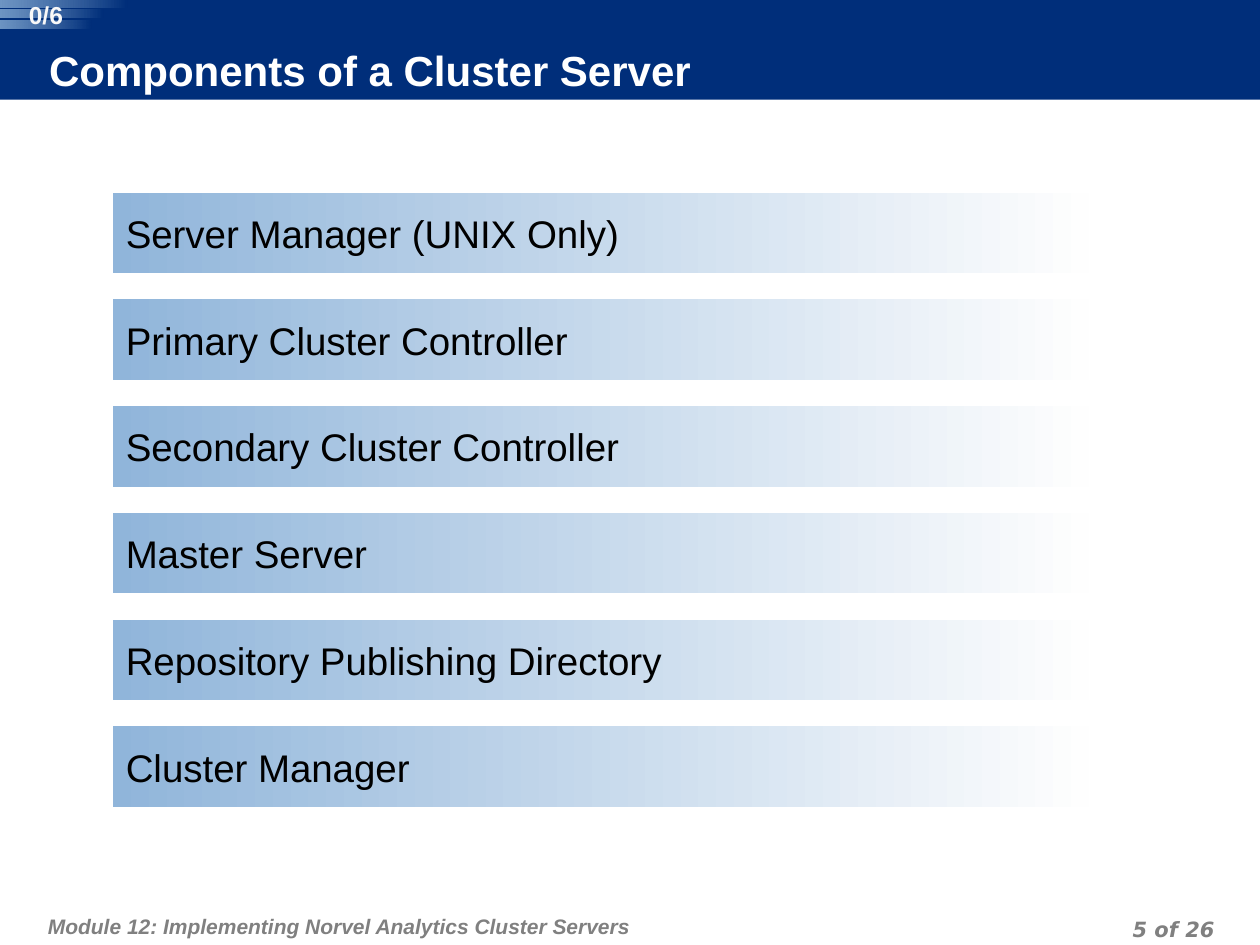
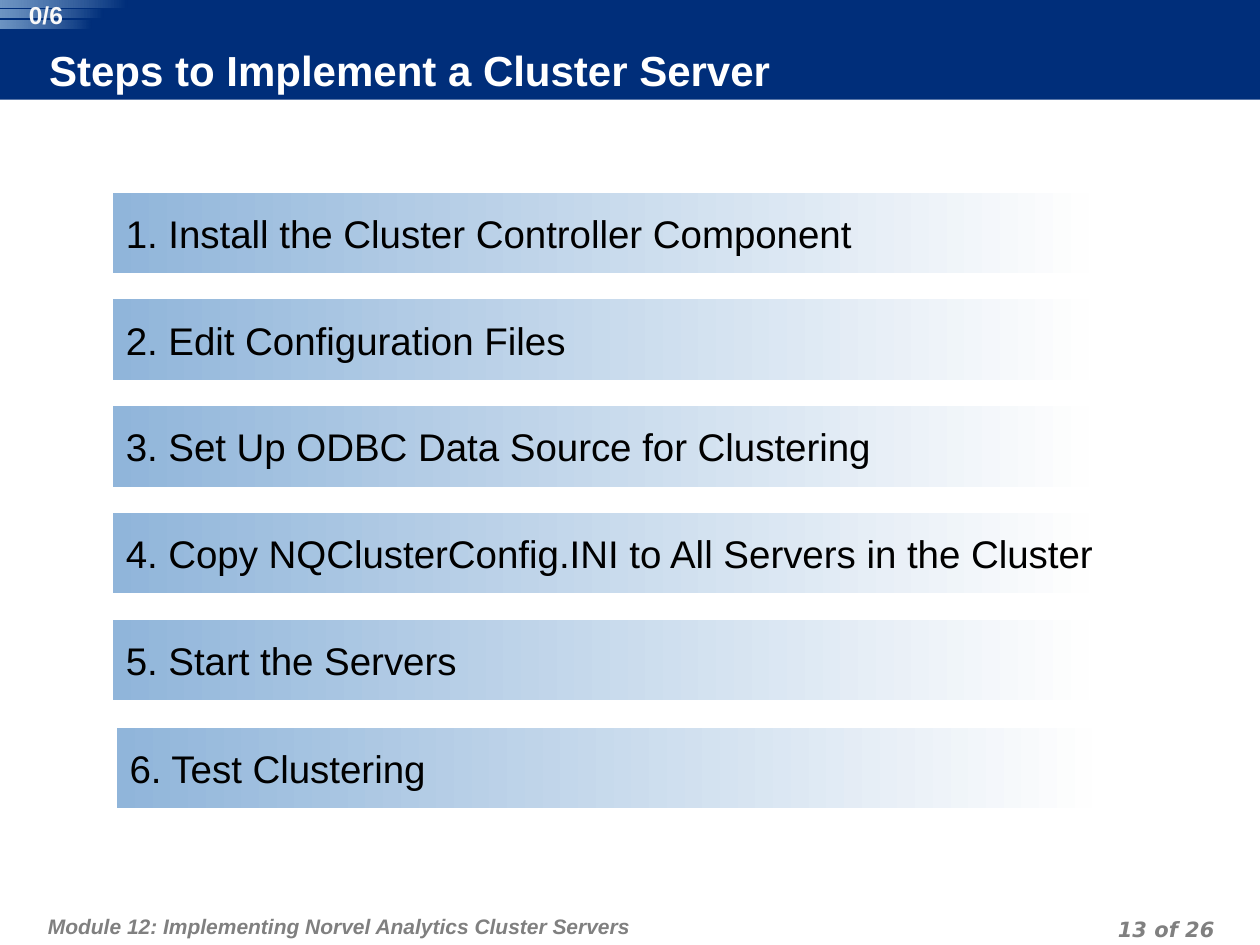
from lxml.etree import SubElement
from pptx import Presentation
from pptx.dml.color import RGBColor
from pptx.enum.shapes import MSO_SHAPE
from pptx.enum.text import MSO_ANCHOR, MSO_AUTO_SIZE, PP_ALIGN
from pptx.oxml.ns import qn
from pptx.util import Inches, Pt

NAVY, SKY, PALE = "002E7A", "90B5DA", "FEFEFE"
GRAY, WHITE, SNOW, BLACK = "808080", "FFFFFF", "F8F8F8", "000000"
MODULE = "Module 12: Implementing Norvel Analytics Cluster Servers"
TOTAL = 26
STRIPES = [(0, 1.01, 0.06), (0.08, 0.82, 0.06), (0.16, 0.73, 0.07)]
BAR_LEFT, BAR_TOP, BAR_STEP = 0.9, 1.53, 0.847
NUDGE = (0.03, 0.01)  # offset of the last step's bar

PARTS = [
    "Server Manager (UNIX Only)",
    "Primary Cluster Controller",
    "Secondary Cluster Controller",
    "Master Server",
    "Repository Publishing Directory",
    "Cluster Manager",
]
STEPS = [
    "1. Install the Cluster Controller Component",
    "2. Edit Configuration Files",
    "3. Set Up ODBC Data Source for Clustering",
    "4. Copy NQClusterConfig.INI to All Servers in the Cluster",
    "5. Start the Servers",
    "6. Test Clustering",
]


def color(code):
    return RGBColor.from_string(code)


def box(*sizes):
    return [Inches(size) for size in sizes]


def solid(shape, code):
    shape.fill.solid()
    shape.fill.fore_color.rgb = color(code)


def fade(shape, start, end, alpha=None):
    """Fill with a gradient from start at the right to end at the left."""
    shape.fill.gradient()
    shape.fill.gradient_angle = 180
    stops = shape.fill.gradient_stops
    for stop, code, place in zip(stops, (start, end), (0, 1)):
        stop.color.rgb = color(code)
        stop.position = place
    if alpha:
        tint = shape.element.findall(".//" + qn("a:srgbClr"))[-1]
        SubElement(tint, qn("a:alpha")).set("val", str(alpha * 1000))


def add_rect(shapes, place, kind=MSO_SHAPE.RECTANGLE):
    shape = shapes.add_shape(kind, *box(*place))
    shape.shadow.inherit = False
    shape.line.fill.background()
    return shape


def write(shape, text, size, code, pads, font="Arial", bold=False,
          italic=False, align=PP_ALIGN.LEFT, anchor=MSO_ANCHOR.TOP, wrap=True):
    frame = shape.text_frame
    frame.text = text
    frame.word_wrap = wrap
    frame.auto_size = MSO_AUTO_SIZE.NONE
    frame.vertical_anchor = anchor
    (frame.margin_left, frame.margin_top,
     frame.margin_right, frame.margin_bottom) = box(*pads)
    para = frame.paragraphs[0]
    para.alignment = align
    style = para.runs[0].font
    style.name, style.size = font, Pt(size)
    style.bold, style.italic = bold, italic
    style.color.rgb = color(code)
    return para


def add_title(slide, text):
    title = slide.shapes.title
    band = add_rect(slide.shapes, (0, 0, 10, 0.79))
    solid(band, NAVY)
    title.element.addprevious(band.element)
    title.left, title.top, title.width, title.height = box(0.39, 0.38, 7.87, 0.4)
    solid(title, NAVY)
    write(title, text, 24, WHITE, (0, 0, 0.05, 0.05), bold=True,
          anchor=MSO_ANCHOR.MIDDLE)


def add_count(slide, text):
    """Add the striped progress mark in the top left corner."""
    group = slide.shapes.add_group_shape()
    for top, width, height in STRIPES:
        stripe = add_rect(group.shapes, (0, top, width, height),
                          MSO_SHAPE.ROUNDED_RECTANGLE)
        stripe.adjustments[0] = 0
        fade(stripe, NAVY, SKY, 76)
    label = group.shapes.add_textbox(*box(0.11, 0, 0.51, 0.23))
    write(label, text, 14, SNOW, (0, 0, 0, 0), bold=True, align=PP_ALIGN.CENTER)


def add_note(slide, place, text, pads, **style):
    note = slide.shapes.add_textbox(*box(*place))
    para = write(note, text, 12, GRAY, pads, bold=True, italic=True, **style)
    para.line_spacing = Pt(18)


def add_footer(slide, number):
    add_note(slide, (0.33, 7.1, 6.18, 0.4), MODULE, (0.05, 0.1, 0.05, 0.05))
    add_note(slide, (7.36, 7.22, 2.33, 0.25), f"{number} of {TOTAL}",
             (0.05, 0, 0.05, 0), font="DejaVu Sans", align=PP_ALIGN.RIGHT)


def add_bars(slide, items, nudge=(0, 0)):
    """Stack one bar per item, moving the last one by nudge."""
    for row, item in enumerate(items):
        right, down = nudge if row == len(items) - 1 else (0, 0)
        bar = add_rect(slide.shapes, (BAR_LEFT + right,
                                      BAR_TOP + row * BAR_STEP + down,
                                      7.74, 0.64))
        fade(bar, PALE, SKY)
        write(bar, item, 22, BLACK, (0.1, 0.05, 0.1, 0.05),
              anchor=MSO_ANCHOR.MIDDLE, wrap=False)


def add_page(deck, title, number, items, nudge=(0, 0)):
    slide = deck.slides.add_slide(deck.slide_layouts.get_by_name("Title Only"))
    add_title(slide, title)
    add_footer(slide, number)
    add_count(slide, "0/6")
    add_bars(slide, items, nudge)


def main():
    deck = Presentation()
    deck.slide_width, deck.slide_height = box(10, 7.5)
    add_page(deck, "Components of a Cluster Server", 5, PARTS)
    add_page(deck, "Steps to Implement a Cluster Server", 13, STEPS, NUDGE)
    deck.save("out.pptx")


if __name__ == "__main__":
    main()
